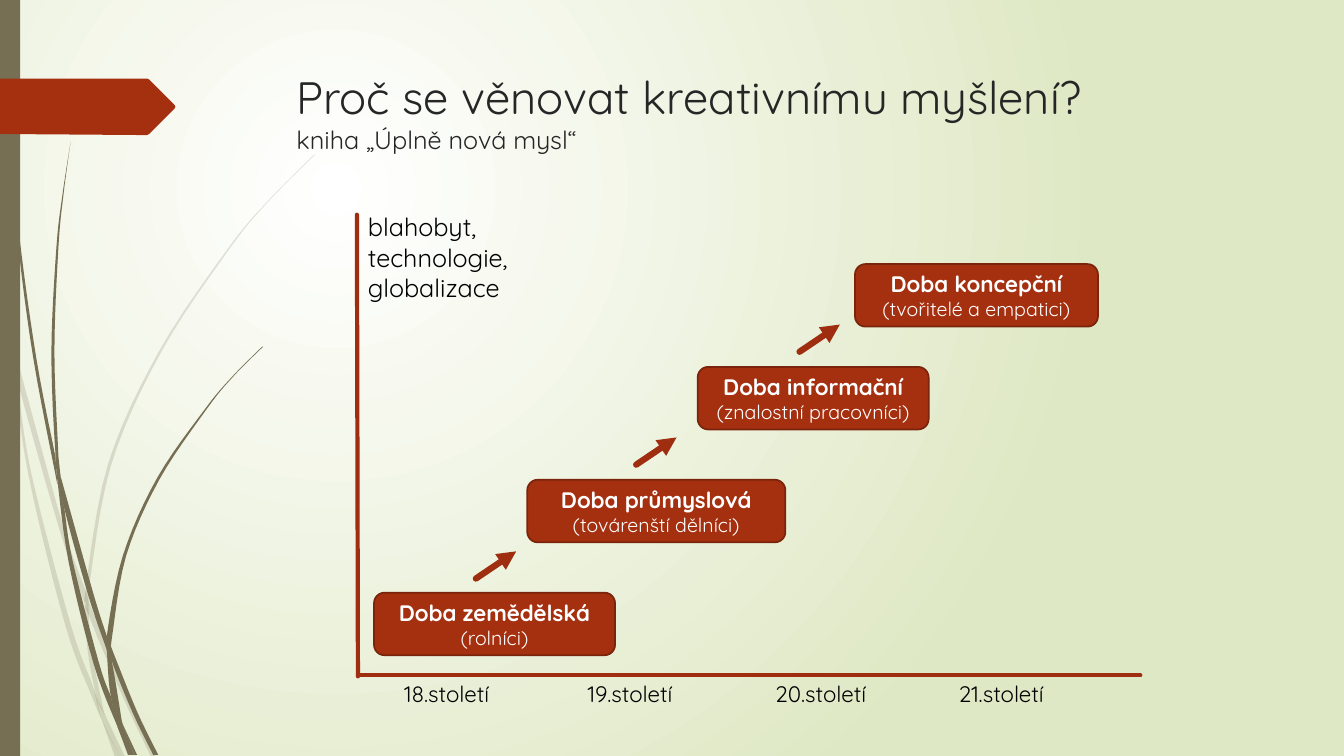
"""Build a slide on the four ages, climbing along a prosperity axis."""
from lxml.etree import SubElement
from pptx import Presentation
from pptx.dml.color import RGBColor
from pptx.enum.shapes import MSO_CONNECTOR, MSO_SHAPE
from pptx.enum.text import MSO_ANCHOR, MSO_AUTO_SIZE, PP_ALIGN
from pptx.oxml.ns import qn
from pptx.util import Inches, Pt

COLORS = {"white": "FFFFFF", "backdrop": "DFE8C4", "grass": "766F54", "rust": "A53010",
          "border": "7A240C", "axis": "9E2E0F", "title": "262626", "ink": "000000"}
FONT = "Quicksand"
TITLE = "Proč se věnovat kreativnímu myšlení?"
SUBTITLE = "kniha „Úplně nová mysl“"
AXIS_LABEL = ["blahobyt,", "technologie,", "globalizace"]
AGES = [
    ("Doba zemědělská", "(rolníci)", 3.71, 5.88, 2.39),
    ("Doba průmyslová", "(továrenští dělníci)", 5.23, 4.76, 2.56),
    ("Doba informační", "(znalostní pracovníci)", 6.92, 3.64, 2.29),
    ("Doba koncepční", "(tvořitelé a empatici)", 8.48, 2.62, 2.41),
]
AGE_HEIGHT = 0.62
CENTURIES = [("18.století", 3.91), ("19.století", 5.73), ("20.století", 7.59), ("21.století", 9.41)]
AXES = [((3.54, 2.13), (3.55, 6.71)), ((3.55, 6.7), (11.31, 6.7))]
ARROW_STARTS = [(4.72, 5.74), (6.31, 4.61), (7.93, 3.49)]
ARROW_RUN, ARROW_RISE = 0.4, 0.27
TAG = [(0, 0.78), (1.46, 0.78), (1.48, 0.79), (1.73, 1.04), (1.74, 1.06), (1.73, 1.08),
       (1.48, 1.33), (1.46, 1.34), (1.36, 1.34), (0, 1.33)]
PALE_BLADES = [
    ([(0, 2.99), (0.1, 3.44), (0.11, 3.5)], [(0.09, 3.22), (0, 2.82)]),
    ([(0.14, 3.45), (0.17, 3.76), (0.58, 5.22), (0.84, 5.99)], [(0.85, 5.86), (0.62, 5.2), (0.14, 3.45)]),
    ([(0.88, 5.96), (0.88, 6.1), (1.23, 6.94), (1.5, 7.51)], [(1.55, 7.51), (1.27, 6.92), (0.92, 6.07)]),
    ([(1.05, 7.11), (1.19, 7.51)], [(1.24, 7.51), (1.05, 7.11)]),
    ([(0.11, 3.5), (0.28, 4.7), (0.65, 6.21), (0.92, 6.93), (1.01, 7.14)],
     [(0.99, 7.07), (0.93, 6.83), (0.7, 6.19), (0.31, 4.69), (0.17, 3.76)]),
    ([(0.84, 5.99), (0.87, 6.46), (0.96, 6.92), (1.05, 7.11)], [(1.03, 7.06), (0.91, 6.46), (0.88, 6.08)]),
    ([(3.12, 1.53), (2.68, 1.97), (2.28, 2.44), (1.58, 3.48), (1.07, 4.61), (0.85, 5.84), (0.88, 5.96)],
     [(0.88, 5.84), (1.1, 4.62), (1.6, 3.49), (2.29, 2.45), (2.68, 1.98), (3.12, 1.54)]),
    ([(1.01, 7.14), (1.14, 7.51)], [(1.19, 7.51), (1.01, 7.14)]),
    ([(0.85, 5.86), (0.84, 5.99), (0.88, 6.1)], [(0.88, 5.96), (0.85, 5.86)]),
    ([(0.93, 6.83), (1.01, 7.14), (1.19, 7.51)], [(1.05, 7.11), (0.96, 6.92)]),
]
DARK_BLADES = [
    ([(0.03, 0), (0.07, 1.1), (0.17, 2.33), (0.33, 3.55), (0.57, 4.81)],
     [(0.55, 4.53), (0.36, 3.55), (0.19, 2.32), (0.08, 1.09), (0.04, 0)]),
    ([(0.6, 4.72), (0.64, 5.05), (0.88, 5.92), (1.06, 6.45)], [(1.06, 6.31), (0.93, 5.9), (0.6, 4.72)]),
    ([(1.1, 6.41), (1.11, 6.56), (1.32, 7.08), (1.52, 7.49)], [(1.57, 7.49), (1.36, 7.06), (1.13, 6.49)]),
    ([(0.57, 4.77), (0.68, 5.57), (0.93, 6.59), (1.17, 7.22)],
     [(1.1, 6.91), (0.98, 6.57), (0.72, 5.56), (0.64, 5.05)]),
    ([(0.7, 1.41), (0.62, 1.93), (0.56, 2.45), (0.51, 3.49), (0.55, 4.49), (0.6, 4.72)],
     [(0.58, 4.53), (0.54, 3.49), (0.58, 2.45), (0.63, 1.93), (0.7, 1.41)]),
    ([(1.22, 7.19), (1.33, 7.49)], [(1.36, 7.49), (1.22, 7.19)]),
    ([(0.55, 4.49), (0.57, 4.77), (0.64, 5.05)], [(0.6, 4.72), (0.55, 4.49)]),
    ([(2.6, 3.44), (2.31, 3.73), (2.04, 4.05), (1.56, 4.74), (1.22, 5.51), (1.06, 6.31), (1.1, 6.41)],
     [(1.11, 6.33), (1.25, 5.52), (1.58, 4.76), (2.05, 4.06), (2.31, 3.74), (2.61, 3.44)]),
    ([(1.17, 7.22), (1.27, 7.49)], [(1.31, 7.49), (1.17, 7.22)]),
    ([(1.06, 6.45), (1.1, 6.91), (1.22, 7.19)], [(1.21, 7.16), (1.11, 6.56), (1.06, 6.45)]),
    ([(1.06, 6.31), (1.06, 6.45), (1.11, 6.56)], [(1.1, 6.41), (1.06, 6.31)]),
    ([(1.1, 6.91), (1.17, 7.22), (1.3, 7.49)], [(1.33, 7.49), (1.22, 7.19), (1.1, 6.91)]),
]


def color(name):
    return RGBColor.from_string(COLORS[name])


def add_text(para, text, size, name="ink", bold=False):
    span = para.add_run()
    span.text = text
    span.font.name = FONT
    span.font.size = Pt(size)
    span.font.bold = bold
    span.font.color.rgb = color(name)


def paint(shape, fill, line=None, alpha=None):
    shape.shadow.inherit = False
    shape.fill.solid()
    shape.fill.fore_color.rgb = color(fill)
    if alpha:
        tint = shape._element.spPr.find(qn("a:solidFill"))[0]
        SubElement(tint, qn("a:alpha"), val=str(alpha * 1000))
    if line:
        shape.line.color.rgb = color(line)
        shape.line.width = Pt(1.25)
    else:
        shape.line.fill.background()


def smooth(points, steps=6):
    """Return a curve that passes through every point."""
    padded = [points[0], *points, points[-1]]
    curve = [points[0]]
    for a, b, c, d in zip(padded, padded[1:], padded[2:], padded[3:]):
        for step in range(1, steps + 1):
            t = step / steps
            curve.append(tuple(
                (2 * q + (r - p) * t + (2 * p - 5 * q + 4 * r - s) * t ** 2
                 + (3 * q - p - 3 * r + s) * t ** 3) / 2
                for p, q, r, s in zip(a, b, c, d)))
    return curve


def add_outline(page, points, fill, alpha=None):
    corners = [(Inches(x), Inches(y)) for x, y in points]
    builder = page.shapes.build_freeform(*corners[0])
    builder.add_line_segments(corners[1:], close=True)
    paint(builder.convert_to_shape(), fill, alpha=alpha)


def add_line(page, start, end, width, arrow=False):
    line = page.shapes.add_connector(
        MSO_CONNECTOR.STRAIGHT, *(Inches(value) for value in (*start, *end)))
    line.line.color.rgb = color("axis")
    line.line.width = Pt(width)
    stroke = line.line._get_or_add_ln()
    stroke.set("cap", "rnd")
    if arrow:
        SubElement(stroke, qn("a:tailEnd"), type="triangle")
    SubElement(line._element.spPr, qn("a:effectLst"))


def add_label(page, lines, left, top, width, height, size):
    box = page.shapes.add_textbox(Inches(left), Inches(top), Inches(width), Inches(height))
    frame = box.text_frame
    frame.word_wrap = True
    frame.auto_size = MSO_AUTO_SIZE.SHAPE_TO_FIT_TEXT
    for index, text in enumerate(lines):
        add_text(frame.add_paragraph() if index else frame.paragraphs[0], text, size)


def add_age(page, name, people, left, top, width):
    box = page.shapes.add_shape(MSO_SHAPE.ROUNDED_RECTANGLE, Inches(left), Inches(top),
                                Inches(width), Inches(AGE_HEIGHT))
    paint(box, "rust", "border")
    frame = box.text_frame
    frame.word_wrap = True
    frame.vertical_anchor = MSO_ANCHOR.MIDDLE
    first, second = frame.paragraphs[0], frame.add_paragraph()
    first.alignment = second.alignment = PP_ALIGN.CENTER
    add_text(first, name, 16, "white", bold=True)
    add_text(second, people, 14, "white")


def add_backdrop(page):
    fill = page.background.fill
    fill.gradient()
    for stop, name, position in zip(fill.gradient_stops, ("white", "backdrop"), (0, 1)):
        stop.color.rgb = color(name)
        stop.position = position
    gradient = page._element.find(".//" + qn("a:gradFill"))
    gradient.remove(gradient.find(qn("a:lin")))
    circle = SubElement(gradient, qn("a:path"), path="circle")
    SubElement(circle, qn("a:fillToRect"), l="50000", t="50000", r="100000", b="100000")


def add_title(page):
    title = page.shapes.title
    title.left, title.top, title.width, title.height = map(Inches, (2.84, 0.64, 9.75, 0.98))
    frame = title.text_frame
    frame.word_wrap = True
    frame.auto_size = MSO_AUTO_SIZE.NONE
    frame.vertical_anchor = MSO_ANCHOR.TOP
    para = frame.paragraphs[0]
    para.alignment = PP_ALIGN.LEFT
    add_text(para, TITLE, 32.4, "title")
    para.add_line_break()
    add_text(para, SUBTITLE, 18, "title")


def main():
    deck = Presentation()
    deck.slide_width, deck.slide_height = Inches(13.33), Inches(7.5)
    page = deck.slides.add_slide(deck.slide_layouts[5])
    add_backdrop(page)
    for blades, alpha in ((PALE_BLADES, 20), (DARK_BLADES, None)):
        for down, up in blades:
            add_outline(page, smooth(down) + smooth(up), "grass", alpha)
    strip = page.shapes.add_shape(MSO_SHAPE.RECTANGLE, 0, 0, Inches(0.2), deck.slide_height)
    paint(strip, "grass")
    add_outline(page, TAG, "rust")
    add_title(page)
    for start, end in AXES:
        add_line(page, start, end, 3)
    for age in AGES:
        add_age(page, *age)
    for century, left in CENTURIES:
        add_label(page, [century], left, 6.7, 1.48, 0.37, 16)
    for x, y in ARROW_STARTS:
        add_line(page, (x, y), (x + ARROW_RUN, y - ARROW_RISE), 4.5, arrow=True)
    add_label(page, AXIS_LABEL, 3.55, 2.05, 1.91, 1.01, 18)
    deck.save("out.pptx")


if __name__ == "__main__":
    main()
